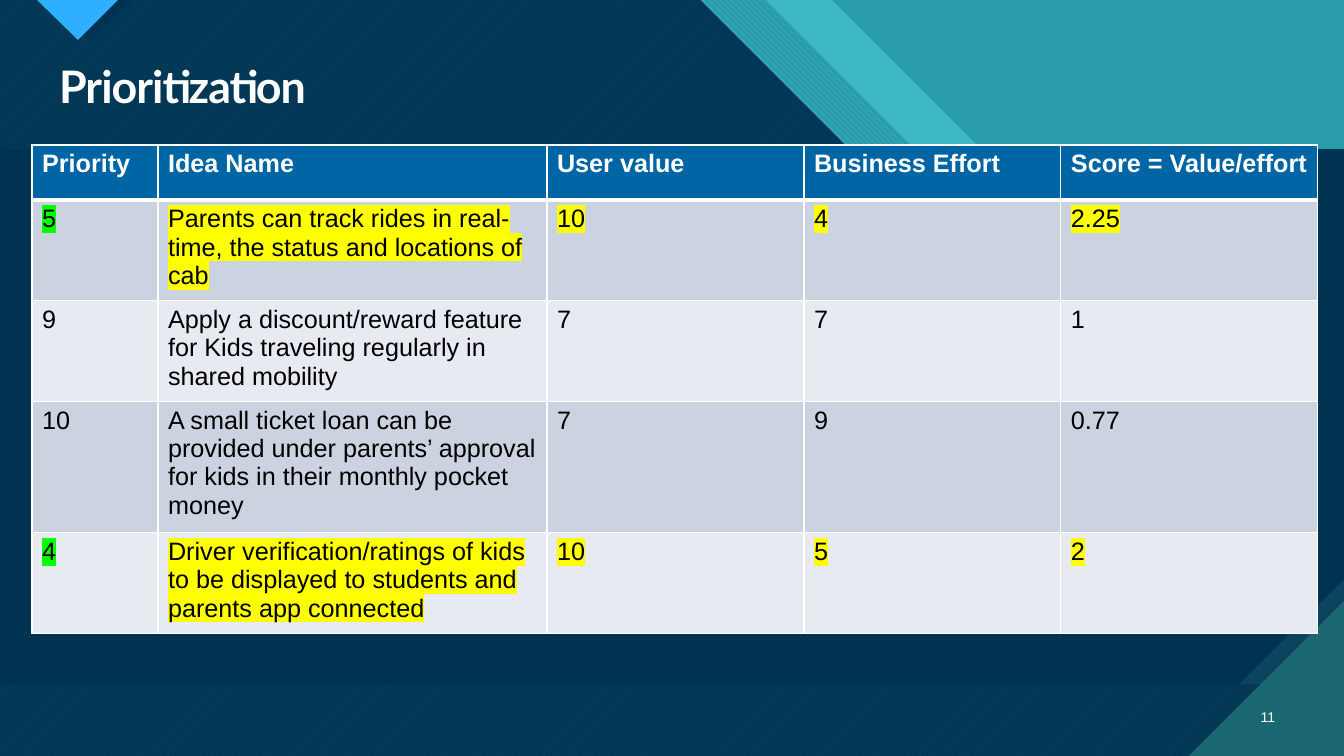
import pptx
import pptx.util
import pptx.dml.color
import pptx.enum.dml
import pptx.enum.text
import pptx.oxml
import pptx.oxml.ns

WIDE, HIGH = 1344, 756
SCALE = 914400 / 100.8
WHITE, BLACK, NAVY, AQUA = "FFFFFF", "000000", "003352", "47C3D3"
LIME, YELLOW = "00FF00", "FFFF00"
PATTERN = pptx.enum.dml.MSO_PATTERN
ANCHOR = pptx.enum.text.MSO_ANCHOR
ALIGN = pptx.enum.text.PP_ALIGN

HEADS = ["Priority", "Idea Name", "User value", "Business Effort", "Score = Value/effort"]
IDEAS = [
    ["5", "Parents can track rides in real-time, the status and locations of cab", "10", "4", "2.25"],
    ["9", "Apply a discount/reward feature for Kids traveling regularly in shared mobility", "7", "7", "1"],
    ["10", "A small ticket loan can be provided under parents’ approval for kids in their monthly pocket money",
     "7", "9", "0.77"],
    ["4", "Driver verification/ratings of kids to be displayed to students and parents app connected",
     "10", "5", "2"],
]
CHOSEN = {"5", "4"}


def px(size):
    return pptx.util.Emu(round(size * SCALE))


def rgb(code):
    return pptx.dml.color.RGBColor.from_string(code)


def node(xml):
    """Parse one XML element that uses the a: prefix."""
    head, tail = xml.split(" ", 1)
    return pptx.oxml.parse_xml(f'{head} {pptx.oxml.ns.nsdecls("a")} {tail}')


class Deck:
    def __init__(self):
        self.show = pptx.Presentation()
        self.show.slide_width, self.show.slide_height = px(WIDE), px(HIGH)
        self.slide = self.show.slides.add_slide(self.show.slide_layouts[5])
        self.shapes = self.slide.shapes

    def back(self, color):
        fill = self.slide.background.fill
        fill.solid()
        fill.fore_color.rgb = rgb(color)

    def shape(self, points, color, under=None, pattern=None, alpha=None):
        """Draw an outline with a plain fill, or a pattern over a second colour."""
        pen = self.shapes.build_freeform(*points[0], scale=SCALE)
        pen.add_line_segments(points[1:], close=True)
        form = pen.convert_to_shape()
        form.shadow.inherit = False
        form.line.fill.background()
        if pattern:
            form.fill.patterned()
            form.fill.pattern = pattern
            form.fill.back_color.rgb = rgb(under)
        else:
            form.fill.solid()
        form.fill.fore_color.rgb = rgb(color)
        if alpha:
            tint = form.fill.fore_color._xFill.find(pptx.oxml.ns.qn("a:srgbClr"))
            tint.append(node(f'<a:alpha val="{alpha * 1000}"/>'))

    def style(self, frame, size, color, bold=False, font="Arial", mark=None):
        for run in frame.paragraphs[0].runs:
            run.font.size = pptx.util.Pt(size)
            run.font.bold = bold
            run.font.color.rgb = rgb(color)
            run.font.name = font
            if mark:
                fill = run._r.rPr.find(pptx.oxml.ns.qn("a:solidFill"))
                fill.addnext(node(f'<a:highlight ><a:srgbClr val="{mark}"/></a:highlight>'))

    def title(self, text, x, y, w, h):
        box = self.shapes.title
        box.left, box.top, box.width, box.height = map(px, (x, y, w, h))
        frame = box.text_frame
        frame.text = text
        frame.auto_size = pptx.enum.text.MSO_AUTO_SIZE.NONE
        frame.vertical_anchor = ANCHOR.MIDDLE
        line = frame.paragraphs[0]
        line.alignment, line.line_spacing = ALIGN.LEFT, 0.9
        self.style(frame, 32, WHITE, True, "Lato")
        line.runs[0].font._element.set("spc", "-70")
        # Keep the title above the backdrop
        self.shapes._spTree.append(box._element)

    def number(self, text, x, y, w, h):
        frame = self.shapes.add_textbox(*map(px, (x, y, w, h))).text_frame
        frame.word_wrap = True
        frame.text = text
        frame.vertical_anchor = ANCHOR.MIDDLE
        frame.paragraphs[0].alignment = ALIGN.RIGHT
        self.style(frame, 10, WHITE)

    def border(self, cell, base):
        props = cell._tc.get_or_add_tcPr()
        for spot, side in enumerate("LRTB"):
            width = base if side == "B" else 1
            props.insert(spot, node(
                f'<a:ln{side} w="{width * 12700}"><a:solidFill><a:srgbClr val="{WHITE}"/>'
                f'</a:solidFill></a:ln{side}>'))

    def table(self, rows, x, y, widths, heights):
        frame = self.shapes.add_table(len(rows), len(widths), px(x), px(y),
                                      px(sum(widths)), px(sum(heights)))
        grid = frame.table
        for col, width in zip(grid.columns, widths):
            col.width = px(width)
        for r, (row, height) in enumerate(zip(rows, heights)):
            grid.rows[r].height = px(height)
            fill = "0065A4" if r == 0 else ("E7EAF0", "CCD3E0")[r % 2]
            for c, text in enumerate(row):
                cell = grid.cell(r, c)
                cell.text_frame.text = text
                cell.fill.solid()
                cell.fill.fore_color.rgb = rgb(fill)
                self.border(cell, 3 if r == 0 else 1)
                mark = None
                if row[0] in CHOSEN:
                    mark = YELLOW if c else LIME
                self.style(cell.text_frame, 18, BLACK if r else WHITE, r == 0, mark=mark)


def slant(edge):
    """Backdrop outline whose right side falls at 45 degrees from the top."""
    return [(0, 0), (edge, 0), (edge + 300, 300), (WIDE, 300), (WIDE, HIGH), (0, HIGH)]


def main():
    deck = Deck()
    deck.back("299CAB")
    deck.shape(slant(832), AQUA, alpha=74)
    deck.shape(slant(766), AQUA, "299CAB", PATTERN.WIDE_DOWNWARD_DIAGONAL)
    deck.shape(slant(700), AQUA, "1B6872", PATTERN.WIDE_UPWARD_DIAGONAL)
    deck.shape(slant(700), NAVY, alpha=90)
    deck.shape([(48, 0), (132, 0), (90, 41)], NAVY)
    deck.shape([(37, 0), (118, 0), (78, 40)], "2FAFFF")

    top, base, snip = 149, 684, 105
    deck.shape([(0, top), (WIDE, top), (WIDE, base), (0, base)], "0C4360")
    deck.shape([(0, top), (WIDE, top), (WIDE, base - snip), (WIDE - snip, base), (0, base)], NAVY)
    deck.shape([(WIDE - 155, HIGH), (WIDE, HIGH), (WIDE, HIGH - 155)], "1B6872")

    deck.title("Prioritization", 49, 59, 1236, 59)
    deck.number("11", 1241, 697, 44, 40)
    deck.table([HEADS] + IDEAS, 32, 145, [126, 389, 257, 257, 257], [55, 94, 95, 123, 95])
    deck.show.save("out.pptx")


if __name__ == "__main__":
    main()
